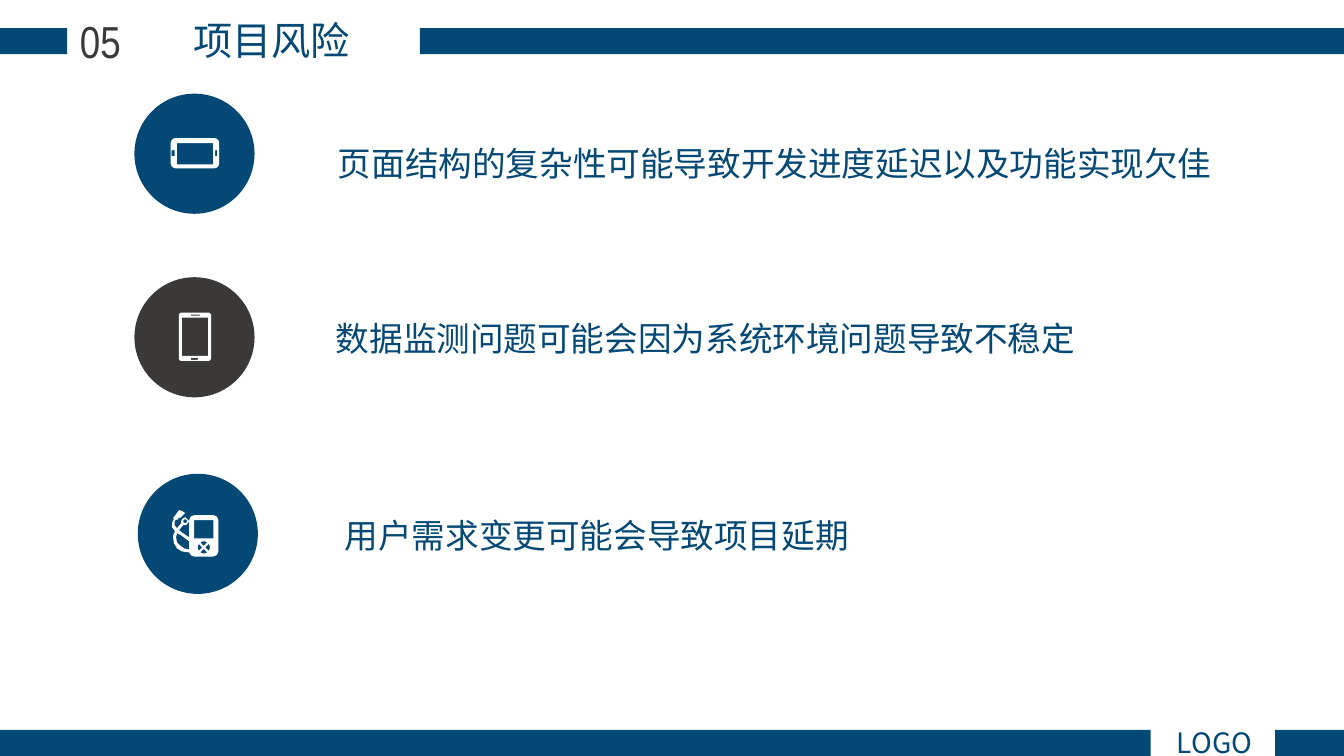
import math
import lxml.etree
import pptx
import pptx.dml.color
import pptx.enum.shapes
import pptx.enum.text
import pptx.oxml.ns
import pptx.util

COLS, ROWS = 160, 90
CELL = pptx.util.Inches(1 / 12)
COLORS = {"navy": "044875", "dark": "3B3838", "white": "FFFFFF"}
SANS = "Noto Sans CJK SC"
BADGE = 14.3
ICON = 119
FINE = 10


def cells(*counts):
    return [round(count * CELL) for count in counts]


def tint(name):
    return pptx.dml.color.RGBColor.from_string(COLORS[name])


def paint(shape, color):
    shape.shadow.inherit = False
    shape.fill.solid()
    shape.fill.fore_color.rgb = tint(color)
    shape.line.fill.background()


def block(slide, kind, box, color):
    paint(slide.shapes.add_shape(kind, *cells(*box)), color)


def label(slide, box, text, size, color="navy", face=SANS, center=False):
    frame = slide.shapes.add_textbox(*cells(*box)).text_frame
    frame.word_wrap = True
    para = frame.paragraphs[0]
    para.text = text
    if center:
        para.alignment = pptx.enum.text.PP_ALIGN.CENTER
    para.font.size = pptx.util.Pt(size)
    para.font.name = face
    para.font.color.rgb = tint(color)
    props = para._p.pPr.find(pptx.oxml.ns.qn("a:defRPr"))
    asian = lxml.etree.SubElement(props, pptx.oxml.ns.qn("a:ea"))
    asian.set("typeface", face)


def rect(left, top, right, bottom):
    return [(left, top), (right, top), (right, bottom), (left, bottom)]


def round_rect(left, top, right, bottom, radius):
    hubs = [(right - radius, bottom - radius), (left + radius, bottom - radius),
            (left + radius, top + radius), (right - radius, top + radius)]
    return [(x + radius * math.cos(math.radians(90 * turn + step)),
             y + radius * math.sin(math.radians(90 * turn + step)))
            for turn, (x, y) in enumerate(hubs) for step in range(0, 91, 15)]


def ring(x, y, radius):
    return round_rect(x - radius, y - radius, x + radius, y + radius, radius)


def petal(turn):
    x, y, radius = 65.5, 73, 6
    arc = [math.radians(90 * turn + step) for step in range(-35, 36, 10)]
    tip = math.radians(90 * turn)
    return [(x + 1.5 * math.cos(tip), y + 1.5 * math.sin(tip))] + [
        (x + radius * math.cos(angle), y + radius * math.sin(angle)) for angle in arc]


PHONE = [round_rect(36, 44, 84, 74, 5), rect(42, 49, 78, 70),
         rect(37, 56, 40, 62), rect(80, 56, 82, 62)]
TABLET = [round_rect(44, 35, 76, 83, 3), rect(47, 40, 73, 78),
          rect(56, 80, 63, 82), rect(56, 37, 65, 38)]
HOSE = [(56, 41), (75, 41), (78.5, 42.5), (80, 46), (80, 77), (78.5, 80.5),
        (75, 82), (56, 82), (53, 81), (51, 78), (44, 77), (39, 74), (36, 69),
        (35, 63), (35.5, 60), (37, 57), (34, 53), (34, 49), (36, 44), (35, 44),
        (41, 36), (44, 37), (47, 39), (42, 44), (41, 43), (39, 46), (38, 45),
        (36.5, 48), (36.5, 51), (39, 54), (43, 49), (43, 47), (44, 45),
        (47, 43), (49, 45), (51, 47), (49, 50), (47, 51), (45, 51), (41, 56),
        (45, 59), (51, 63), (51, 46), (52.5, 42.5)]
LOOP = [(51, 75), (51, 67), (43, 61), (39, 59), (38, 63), (39, 68), (42, 71), (46, 74)]
METER = [HOSE, LOOP, ring(47, 47, 1.8), rect(56, 46, 75, 64)]
METER += [petal(turn) for turn in range(4)]


def icon(slide, box, loops):
    left, top, width, _ = cells(*box)
    fine = [[(round(x * FINE), round(y * FINE)) for x, y in loop] for loop in loops]
    pen = slide.shapes.build_freeform(*fine[0][0], scale=width / (ICON * FINE))
    for index, loop in enumerate(fine):
        if index:
            pen.move_to(*loop[0])
        pen.add_line_segments(loop[1:], close=True)
    paint(pen.convert_to_shape(left, top), "white")


def risk(slide, box, color, loops, text, inset, drop):
    left, top, width, height = box
    disc = (left, top, BADGE, BADGE)
    block(slide, pptx.enum.shapes.MSO_SHAPE.OVAL, disc, color)
    icon(slide, disc, loops)
    label(slide, (left + inset, top + drop, width - inset, height - drop), text, 24)


def band(slide, box, gap):
    left, top, width, height = box
    start, end = gap
    kind = pptx.enum.shapes.MSO_SHAPE.RECTANGLE
    block(slide, kind, (left, top, start - left, height), "navy")
    block(slide, kind, (end, top, left + width - end, height), "navy")


def header(slide, box):
    left, top = box[:2]
    band(slide, box, (left + 8, left + 50))
    label(slide, (left + 10.7, top - 1.95, 43.2, 6.8), "项目风险", 28, center=True)
    label(slide, (left + 7.2, top - 2.25, 9.5, 7.7), "05", 32, "dark",
          "Arial Narrow", True)


def footer(slide, box):
    left, top = box[:2]
    band(slide, box, (left + 137, left + 151.8))
    label(slide, (left + 134.75, top - 1.1, 19.7, 5.3), "LOGO", 20, center=True)


def main():
    deck = pptx.Presentation()
    deck.slide_width, deck.slide_height = cells(COLS, ROWS)
    slide = deck.slides.add_slide(deck.slide_layouts[6])
    risk(slide, (16, 11.15, 131.5, BADGE), "navy", PHONE,
         "页面结构的复杂性可能导致开发进度延迟以及功能实现欠佳", 23.05, 5.3)
    risk(slide, (16, 33, 116.7, BADGE), "dark", TABLET,
         "数据监测问题可能会因为系统环境问题导致不稳定", 22.8, 4.2)
    risk(slide, (16.4, 56.4, 124, BADGE), "navy", METER,
         "用户需求变更可能会导致项目延期", 23.45, 4.3)
    header(slide, (0, 3.35, COLS, 3.1))
    footer(slide, (0, 86.9, COLS, 3.1))
    deck.save("out.pptx")


if __name__ == "__main__":
    main()
